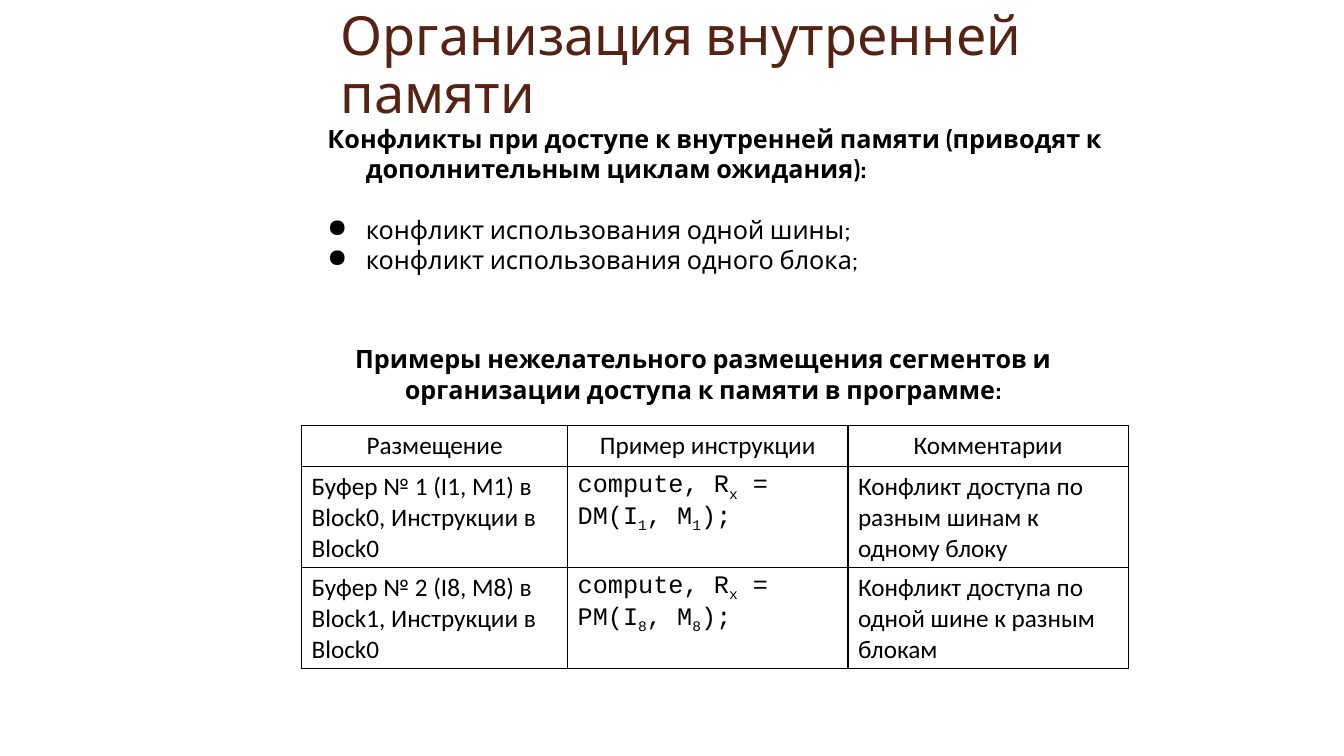
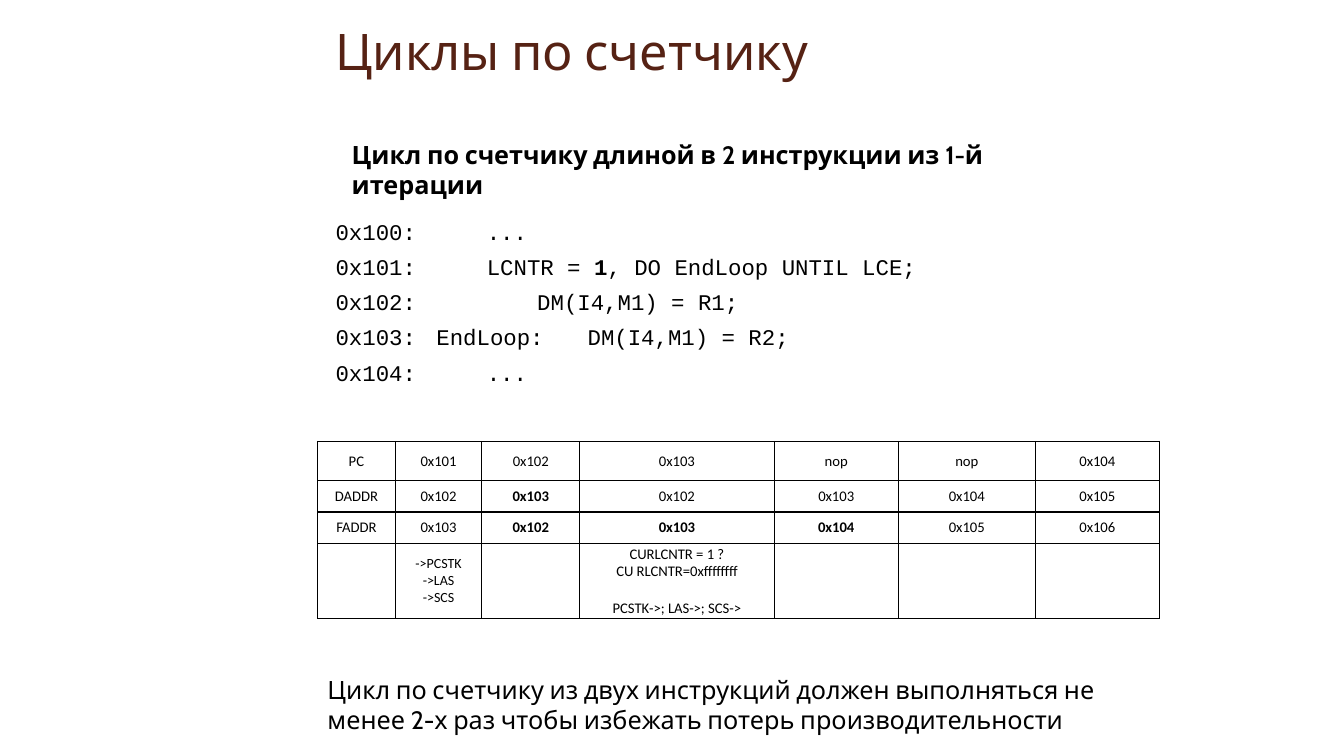
"""Build two slides on DSP memory access conflicts and counter loops."""
from lxml import etree
from pptx import Presentation
from pptx.dml.color import RGBColor
from pptx.enum import text as t
from pptx.oxml import ns
from pptx.util import Inches, Pt

BROWN = RGBColor(0x56, 0x22, 0x14)
BLACK = RGBColor(0, 0, 0)
BODY, TABLE, CODE = "Cabin", "Calibri", "Courier New"
LEFT, CENTER = t.PP_ALIGN.LEFT, t.PP_ALIGN.CENTER


def add_lines(frame, lines, size, font=BODY, color=BLACK, bold=False, align=LEFT, gap=0):
    """Write lines; text between bars is subscript in table code and bold elsewhere."""
    frame.word_wrap = True
    for index, line in enumerate(lines):
        para = frame.paragraphs[0] if index == 0 else frame.add_paragraph()
        para.alignment = align
        if index:
            para.space_before = Pt(gap)
        para.font.size, para.font.name = Pt(size), font
        para.font.color.rgb, para.font.bold = color, bold
        for position, piece in enumerate(line.split("|")):
            if piece:
                span = para.add_run()
                span.text = piece
                if position % 2 and line.startswith("compute"):
                    span.font._element.set("baseline", "-25000")
                elif position % 2:
                    span.font.bold = True


def add_grid(page, left, top, widths, heights, rows, size, margins, anchor):
    """Add a plain table with black borders and a list of lines in each cell."""
    grid = page.shapes.add_table(len(rows), len(widths), Inches(left), Inches(top),
                                 Inches(sum(widths)), Inches(sum(heights))).table
    grid.first_row = grid.horz_banding = False
    for column, width in zip(grid.columns, widths):
        column.width = Inches(width)
    for row, height, entries in zip(grid.rows, heights, rows):
        row.height = Inches(height)
        for cell, entry in zip(row.cells, entries):
            is_code = entry.startswith("compute")
            centered = anchor == t.MSO_ANCHOR.MIDDLE or entries is rows[0]
            add_lines(cell.text_frame, entry.split("\n"), size, CODE if is_code else TABLE,
                      align=CENTER if centered else LEFT)
            cell.margin_left = cell.margin_right = Inches(margins[0])
            cell.margin_top = cell.margin_bottom = Inches(margins[1])
            cell.vertical_anchor = anchor
            properties = cell._tc.get_or_add_tcPr()
            for side in ("lnL", "lnR", "lnT", "lnB"):
                border = etree.SubElement(properties, ns.qn(f"a:{side}"), w=str(Pt(1)))
                paint = etree.SubElement(border, ns.qn("a:solidFill"))
                etree.SubElement(paint, ns.qn("a:srgbClr"), val=str(BLACK))
            cell.fill.background()
    return grid


deck = Presentation()
deck.slide_width, deck.slide_height = Inches(13.33), Inches(7.5)
memory_page, loop_page = [deck.slides.add_slide(deck.slide_layouts[6]) for _ in range(2)]

titles = [
    (memory_page, (3.28, 0.51, 8.1, 0.78), "Организация внутренней памяти", 38.5),
    (loop_page, (3.23, 0.16, 8.1, 0.7), "Циклы по счетчику", 36),
]
for page, place, title, size in titles:
    frame = page.shapes.add_textbox(*map(Inches, place)).text_frame
    frame.vertical_anchor = t.MSO_ANCHOR.BOTTOM
    add_lines(frame, [title], size, color=BROWN)
    frame.paragraphs[0].line_spacing = 0.9

conflicts = memory_page.shapes.add_textbox(*map(Inches, (3.15, 1.17, 7.97, 1.92))).text_frame
conflicts.word_wrap = True
conflict_lines = [
    "Конфликты при доступе к внутренней памяти (приводят к дополнительным циклам ожидания):",
    "конфликт использования одной шины;",
    "конфликт использования одного блока;",
]
for index, line in enumerate(conflict_lines):
    para = conflicts.paragraphs[0] if index == 0 else conflicts.add_paragraph()
    properties = para._p.get_or_add_pPr()
    properties.set("marL", str(Inches(0.38)))
    properties.set("indent", str(Inches(-0.38)))
    if index:
        etree.SubElement(properties, ns.qn("a:buChar"), char="●")
    if index == 1:
        para.space_before = Pt(22)
    para.font.size, para.font.name = Pt(18), BODY
    para.font.color.rgb, para.font.bold = BLACK, index == 0
    para.add_run().text = line

texts = [
    (memory_page, (2.99, 3.36, 7.97, 0.71),
     ["Примеры нежелательного размещения сегментов и организации доступа к памяти в программе:"],
     dict(size=18, bold=True, align=CENTER)),
    (loop_page, (3.39, 1.33, 7.81, 0.4),
     ["Цикл по счетчику длиной в 2 инструкции из 1-й итерации"], dict(size=18, bold=True)),
    (loop_page, (3.23, 2.11, 7.81, 1.78),
     ["0x100:\t\t...",
      "0x101:\t\tLCNTR = |1|, DO EndLoop UNTIL LCE;",
      "0x102:\t\t\tDM(I4,M1) = R1;",
      "0x103:\tEndLoop:\tDM(I4,M1) = R2;",
      "0x104:\t\t..."], dict(size=16, font=CODE, gap=6)),
    (loop_page, (3.15, 6.64, 8.36, 0.71),
     ["Цикл по счетчику из двух инструкций должен выполняться не менее 2-х раз "
      "чтобы избежать потерь производительности"], dict(size=18)),
]
for page, place, lines, style in texts:
    add_lines(page.shapes.add_textbox(*map(Inches, place)).text_frame, lines, **style)

placement_rows = [
    ["Размещение", "Пример инструкции", "Комментарии"],
    ["Буфер № 1 (I1, M1) в Block0, Инструкции в Block0",
     "compute, R|x| = DM(I|1|, M|1|);", "Конфликт доступа по разным шинам к одному блоку"],
    ["Буфер № 2 (I8, M8) в Block1, Инструкции в Block0",
     "compute, R|x| = PM(I|8|, M|8|);", "Конфликт доступа по одной шине к разным блокам"],
]
add_grid(memory_page, 2.99, 4.22, [2.64, 2.78, 2.78], [0.41, 1, 1], placement_rows,
         18, (0.1, 0.05), t.MSO_ANCHOR.TOP)

pipeline_rows = [
    ["PC", "0x101", "0x102", "0x103", "nop", "nop", "0x104"],
    ["DADDR", "0x102", "|0x103|", "0x102", "0x103", "0x104", "0x105"],
    ["FADDR", "0x103", "|0x102|", "|0x103|", "|0x104|", "0x105", "0x106"],
    ["", "->PCSTK\n->LAS\n->SCS", "",
     "CURLCNTR = 1 ?\nCU RLCNTR=0xffffffff\nPCSTK->; LAS->; SCS->", "", "", ""],
]
pipeline = add_grid(loop_page, 3.15, 4.38, [0.77, 0.86, 0.97, 1.93, 1.23, 1.36, 1.23],
                    [0.39, 0.31, 0.31, 0.75], pipeline_rows, 10.5, (0.02, 0.02),
                    t.MSO_ANCHOR.MIDDLE)
for para in pipeline.cell(3, 1).text_frame.paragraphs:
    para.font.size = Pt(10)
pipeline.cell(3, 3).text_frame.paragraphs[2].space_before = Pt(13)

deck.save("out.pptx")
